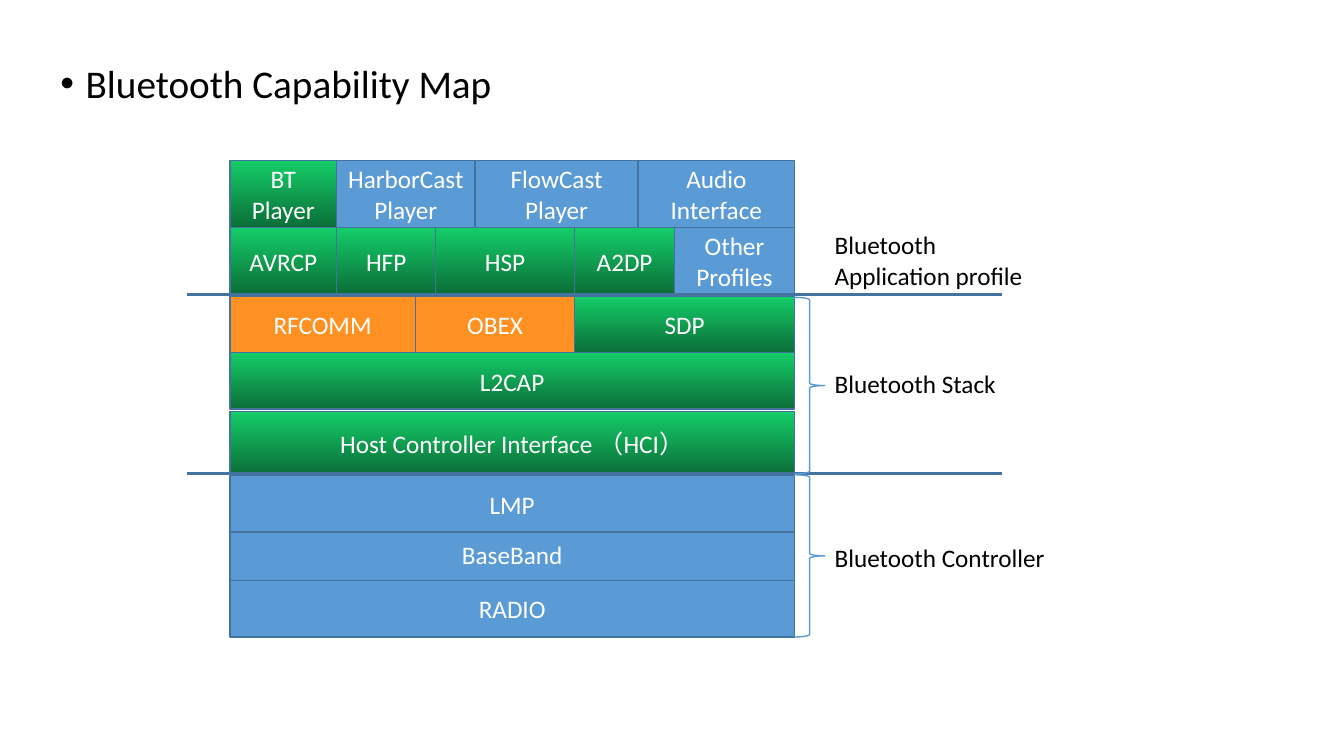
"""Build the Bluetooth capability map slide."""
from pptx import Presentation
from pptx.dml.color import RGBColor
from pptx.enum.shapes import MSO_CONNECTOR as Link, MSO_SHAPE as Shape
from pptx.enum.text import MSO_ANCHOR as Anchor, PP_ALIGN as Align
from pptx.oxml.ns import qn
from pptx.util import Inches, Pt
from lxml import etree

WHITE = RGBColor(0xFF, 0xFF, 0xFF)
BLACK = RGBColor(0x00, 0x00, 0x00)
BLUE = RGBColor(0x5B, 0x9B, 0xD5)
EDGE = RGBColor(0x43, 0x73, 0x9E)
ORANGE = RGBColor(0xFE, 0x91, 0x21)
LIGHT = RGBColor(0x14, 0xCD, 0x68)
DARK = RGBColor(0x0B, 0x6E, 0x38)
GREEN = (LIGHT, DARK)
LEFT, WIDTH = 2.28, 5.6


def style(frame, text, size, color):
    frame.text = text
    frame.word_wrap = True
    font = frame.paragraphs[0].runs[0].font
    font.name, font.size, font.color.rgb = "Calibri", Pt(size), color


def block(text, x, y, w, h, fill):
    box = slide.shapes.add_shape(Shape.RECTANGLE, Inches(x), Inches(y), Inches(w), Inches(h))
    box.shadow.inherit = False
    if fill == GREEN:
        box.fill.gradient()
        box.fill.gradient_angle = 270
        for stop, shade, at in zip(box.fill.gradient_stops, GREEN, (0, 1)):
            stop.color.rgb, stop.position = shade, at
    else:
        box.fill.solid()
        box.fill.fore_color.rgb = fill
    box.line.color.rgb, box.line.width = EDGE, Pt(1)
    style(box.text_frame, text, 18, WHITE)
    box.text_frame.vertical_anchor = Anchor.MIDDLE
    box.text_frame.paragraphs[0].alignment = Align.CENTER


deck = Presentation()
deck.slide_width, deck.slide_height = Inches(13.33), Inches(7.5)
slide = deck.slides.add_slide(deck.slide_layouts[1])
title = slide.shapes.title
title.element.getparent().remove(title.element)

head = slide.placeholders[1]
head.left, head.top = Inches(0.5), Inches(0.59)
head.width, head.height = Inches(10), Inches(0.53)
style(head.text_frame, "Bluetooth Capability Map", 28, BLACK)
para = head.text_frame.paragraphs[0]
para.line_spacing, para.space_before = 0.9, Pt(10)
props = para._p.get_or_add_pPr()
props.set("marL", str(Inches(0.25)))
props.set("indent", str(Inches(-0.25)))

rows = [
    (5.22, 0.56, [("BaseBand", WIDTH, BLUE)]),
    (5.76, 0.56, [("RADIO", WIDTH, BLUE)]),
    (4.72, 0.56, [("LMP", WIDTH, BLUE)]),
    (4.08, 0.63, [("Host Controller Interface （HCI）", WIDTH, GREEN)]),
    (3.5, 0.56, [("L2CAP", WIDTH, GREEN)]),
    (2.94, 0.56, [("RFCOMM", 1.84, ORANGE), ("OBEX", 1.58, ORANGE), ("SDP", 2.18, GREEN)]),
    (2.26, 0.66, [("AVRCP", 1.06, GREEN), ("HFP", 0.98, GREEN), ("HSP", 1.38, GREEN),
                  ("A2DP", 0.99, GREEN), ("Other Profiles", 1.19, BLUE)]),
    (1.59, 0.67, [("BT Player", 1.06, GREEN), ("HarborCast Player", 1.37, BLUE),
                  ("FlowCast Player", 1.62, BLUE), ("Audio Interface", 1.55, BLUE)]),
]
for top, high, cells in rows:
    x = LEFT
    for name, wide, fill in cells:
        block(name, x, top, wide, high, fill)
        x += wide

for y in (2.92, 4.7):
    rule = slide.shapes.add_connector(Link.STRAIGHT, Inches(1.85), Inches(y), Inches(9.94), Inches(y))
    rule.line.color.rgb, rule.line.width = EDGE, Pt(2.25)
    etree.SubElement(rule._element.spPr, qn("a:effectLst"))

for top, high in ((2.95, 1.75), (4.71, 1.61)):
    brace = slide.shapes.add_shape(Shape.RIGHT_BRACE, Inches(LEFT + WIDTH), Inches(top), Inches(0.3), Inches(high))
    brace.shadow.inherit = False
    brace.fill.background()
    brace.line.color.rgb, brace.line.width = BLUE, Pt(1)

labels = [
    ("Bluetooth Application profile", 2.23, 0.71),
    ("Bluetooth Stack", 3.61, 0.4),
    ("Bluetooth Controller", 5.33, 0.4),
]
for text, top, high in labels:
    label = slide.shapes.add_textbox(Inches(8.18), Inches(top), Inches(2.4), Inches(high))
    style(label.text_frame, text, 18, BLACK)

deck.save("out.pptx")
